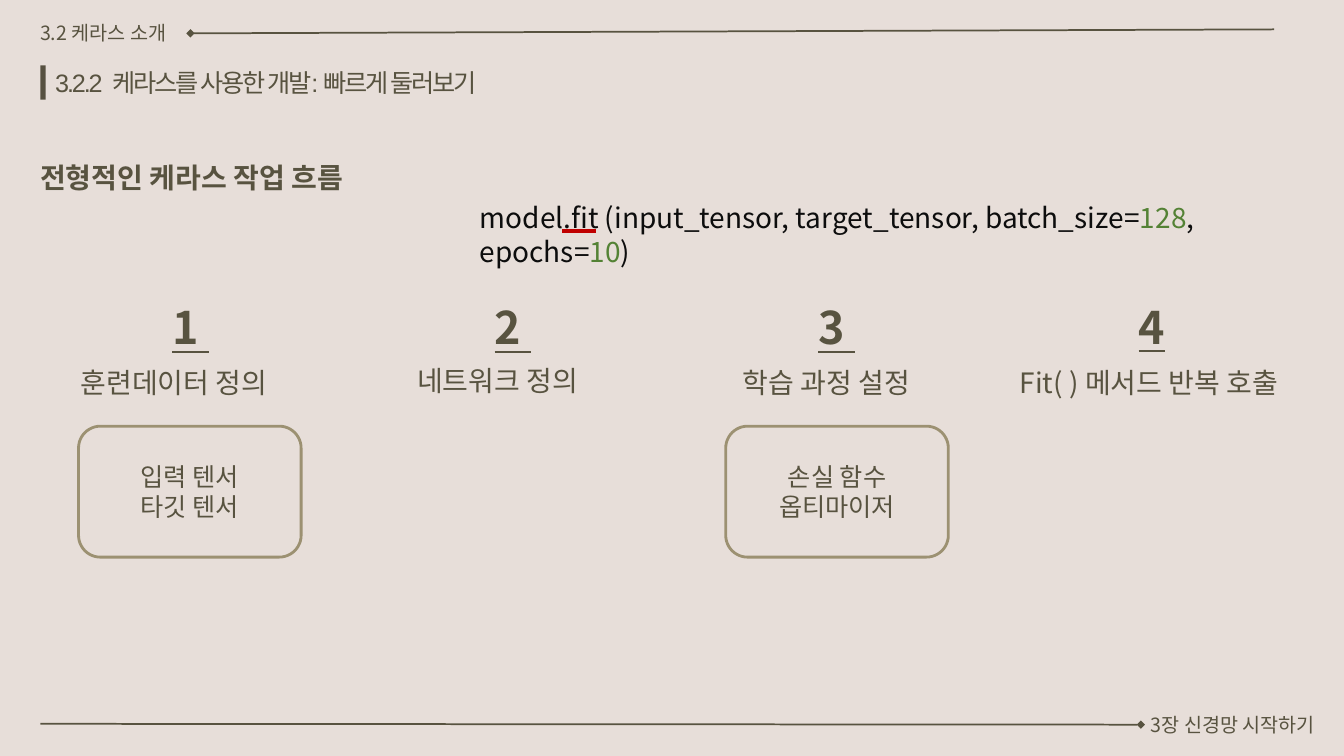
from dataclasses import dataclass

from lxml import etree
from pptx import Presentation
from pptx import util as u
from pptx.dml.color import RGBColor
from pptx.enum import shapes, text
from pptx.oxml.ns import qn

SANS, LATIN = "Noto Sans CJK KR", "Arial"
INK, BAR, FRAME = "585340", "575141", "9C9172"
CODE, NUMBER, RED = "0D0D0D", "548235", "C00000"
CENTER = text.PP_ALIGN.CENTER


@dataclass
class Label:
    content: str
    x: float
    y: float
    w: float
    h: float
    size: float
    font: str = SANS
    wrap: bool = True


@dataclass
class Step:
    number: str
    number_x: float
    number_y: float
    title: str
    title_x: float
    title_y: float
    title_w: float


@dataclass
class Card:
    x: float
    lines: tuple[str, ...]


@dataclass
class Rule:
    start: tuple[float, float]
    end: tuple[float, float]
    color: str = INK
    width: float = 1.25
    diamond: str = ""


LABELS = [
    Label("3.2 케라스 소개", 0.76, 0.41, 4.01, 0.86, 14, wrap=False),
    Label("3장 신경망 시작하기", 28.75, 17.83, 5.12, 0.86, 14, wrap=False),
]
SECTION = Label("3.2.2  케라스를 사용한 개발: 빠르게 둘러보기", 1.14, 1.57, 12.83, 1.02, 18, LATIN)
HEADING = Label("전형적인 케라스 작업 흐름", 0.76, 3.91, 11.07, 1.12, 20)
FIT_CALL = Label("", 11.84, 4.93, 22.03, 1.12, 20)
FIT_RUNS = [
    ("model.fit (input_tensor, target_tensor, batch_size=", CODE),
    ("128", NUMBER),
    (", epochs=", CODE),
    ("10", NUMBER),
    (")", CODE),
]
STEPS = [
    Step("1 ", 3.91, 7.44, "훈련데이터 정의", 1.78, 9.09, 5.94),
    Step("2 ", 12.04, 7.44, "네트워크 정의", 10.26, 9.04, 5.36),
    Step("3 ", 20.19, 7.44, "학습 과정 설정", 18.47, 9.09, 5.61),
    Step("4", 28.14, 7.42, "Fit( ) 메서드 반복 호출", 25.45, 9.09, 7.7),
]
CARDS = [
    Card(1.98, ("입력 텐서", "타깃 텐서")),
    Card(18.29, ("손실 함수", "옵티마이저")),
]
RULES = [
    Rule((4.8, 0.84), (32.11, 0.74), diamond="a:headEnd"),
    Rule((1.02, 18.24), (28.75, 18.26), diamond="a:tailEnd"),
    Rule((14.17, 5.82), (15.01, 5.82), RED, 2.25),
]


def rgb(color: str) -> RGBColor:
    return RGBColor.from_string(color)


def add_run(p, content: str, size: float, color: str = INK, font: str = SANS, **formats):
    r = p.add_run()
    r.text = content
    for name, value in {"size": u.Pt(size), "name": font, **formats}.items():
        setattr(r.font, name, value)
    r.font.color.rgb = rgb(color)
    ea = etree.SubElement(r.font._element, qn("a:ea"))
    ea.set("typeface", SANS)
    return r


def add_box(s, label: Label):
    """Add an empty text box at the label's place and return its paragraph."""
    sp = s.shapes.add_textbox(u.Cm(label.x), u.Cm(label.y), u.Cm(label.w), u.Cm(label.h))
    tf = sp.text_frame
    tf.word_wrap = label.wrap
    tf.auto_size = text.MSO_AUTO_SIZE.SHAPE_TO_FIT_TEXT
    return tf.paragraphs[0]


def add_label(s, label: Label, align=None, **formats):
    p = add_box(s, label)
    p.alignment = align
    return add_run(p, label.content, label.size, font=label.font, **formats)


def add_step(s, step: Step) -> None:
    number = Label(step.number, step.number_x, step.number_y, 1.78, 1.63, 32)
    add_label(s, number, CENTER, bold=True, underline=True)
    add_label(s, Label(step.title, step.title_x, step.title_y, step.title_w, 1.12, 20))


def add_card(s, card: Card) -> None:
    sp = s.shapes.add_shape(shapes.MSO_SHAPE.ROUNDED_RECTANGLE,
                            u.Cm(card.x), u.Cm(10.74), u.Cm(5.61), u.Cm(3.3))
    sp.shadow.inherit = False
    sp.fill.background()
    sp.line.color.rgb = rgb(FRAME)
    sp.line.width = u.Pt(2)
    tf = sp.text_frame
    tf.vertical_anchor = text.MSO_ANCHOR.MIDDLE
    for i, line in enumerate(card.lines):
        p = tf.add_paragraph() if i else tf.paragraphs[0]
        p.alignment = CENTER
        add_run(p, line, 18)


def add_rule(s, rule: Rule) -> None:
    ends = [u.Cm(v) for v in (*rule.start, *rule.end)]
    sp = s.shapes.add_connector(shapes.MSO_CONNECTOR.STRAIGHT, *ends)
    sp.line.color.rgb = rgb(rule.color)
    sp.line.width = u.Pt(rule.width)
    if rule.diamond:
        etree.SubElement(sp.line._get_or_add_ln(), qn(rule.diamond)).set("type", "diamond")
    etree.SubElement(sp._element.spPr, qn("a:effectLst"))


def add_section_bar(s) -> None:
    sp = s.shapes.add_shape(shapes.MSO_SHAPE.RECTANGLE,
                            u.Cm(1.02), u.Cm(1.65), u.Cm(0.13), u.Cm(0.86))
    sp.shadow.inherit = False
    sp.fill.solid()
    sp.fill.fore_color.rgb = rgb(BAR)
    sp.line.fill.background()


def main() -> None:
    prs = Presentation()
    prs.slide_width, prs.slide_height = u.Cm(33.87), u.Cm(19.05)
    s = prs.slides.add_slide(prs.slide_layouts[6])
    s.background.fill.solid()
    s.background.fill.fore_color.rgb = rgb("E7DED9")

    for label in LABELS:
        add_label(s, label)
    add_section_bar(s)
    section = add_label(s, SECTION)
    section.font._element.set("spc", "-150")
    add_label(s, HEADING, bold=True)
    for step in STEPS:
        add_step(s, step)
    for card in CARDS:
        add_card(s, card)
    fit_call = add_box(s, FIT_CALL)
    for content, color in FIT_RUNS:
        add_run(fit_call, content, FIT_CALL.size, color)
    for rule in RULES:
        add_rule(s, rule)
    prs.save("out.pptx")


if __name__ == "__main__":
    main()
